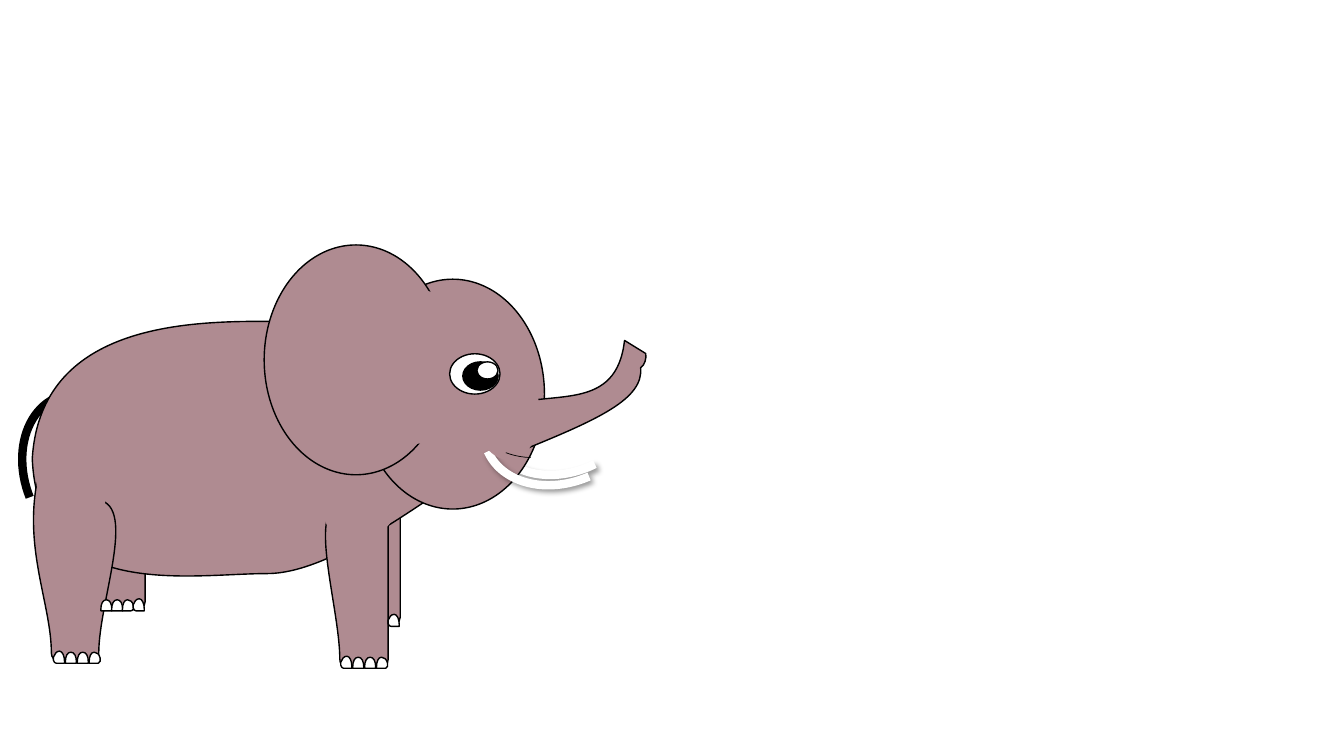
"""Build a slide with a cartoon elephant drawn on a grid of tenth-inch cells."""
from dataclasses import dataclass
from math import cos, radians, sin

from lxml import etree
from pptx import Presentation
from pptx.dml.color import RGBColor
from pptx.enum.shapes import MSO_SHAPE
from pptx.oxml.ns import qn
from pptx.util import Inches, Pt

ARC = MSO_SHAPE.ARC
ELLIPSE = MSO_SHAPE.OVAL
ROUNDED = MSO_SHAPE.ROUNDED_RECTANGLE
CELL = Inches(0.1)
CURVE_STEPS = 16
UPPER_LEFT_QUARTER = (108, 162)


@dataclass(frozen=True)
class Theme:
    """Colours and line weights."""
    skin: str = "AF8B91"
    ink: str = "000000"
    white: str = "FFFFFF"
    hairline: float = 0.5
    outline: float = 1
    thick: float = 6


BODY = [
    (49.3, 45.5), (52.9, 44.6, 36.9, 31.9, 29.3, 31.9),
    (21.6, 31.9, 4.1, 30.8, 3.2, 45.5), (3.8, 59.8, 18.8, 56.9, 26.5, 56.9),
    (34.2, 56.9, 45.7, 46.4, 49.3, 45.5),
]
TRUNK = [
    (50.1, 40.3), (49.7, 40.4, 49.5, 40.9, 49.6, 41.3), (50.6, 44.3),
    (50.7, 44.7, 51.2, 45, 51.6, 44.8), (59.5, 41.6, 63.9, 39.6, 63.6, 36.5),
    (64, 36.3, 64.2, 35.5, 64.1, 35.1), (62, 33.8),
    (61.2, 40.9, 55, 38.7, 50.1, 40.3),
]
FRONT_LEG = [
    (38.5, 50.2), (38.5, 49.8, 38.1, 49.4, 37.7, 49.4), (34.5, 49.4),
    (34, 49.4, 33.7, 49.8, 33.7, 50.2), (30.5, 50.5, 33.7, 60.4, 33.7, 65.4),
    (33.7, 65.9, 34, 66.2, 34.5, 66.2), (37.7, 66.2),
    (38.1, 66.2, 38.5, 65.9, 38.5, 65.4), (38.5, 50.2),
]
HIND_LEG = [
    (9.8, 49.6), (9.8, 49.1, 9.5, 48.8, 9, 48.8), (5.9, 48.8),
    (5.4, 48.8, 4, 45.9, 4, 46.4), (2, 53.9, 5.1, 59.7, 5.1, 64.8),
    (5.1, 65.2, 5.4, 65.6, 5.9, 65.6), (9, 65.6),
    (9.5, 65.6, 9.8, 65.2, 9.8, 64.8), (9.8, 59.7, 13.6, 50.3, 9.8, 49.6),
]
NAILS = {
    "left": [
        (0.6, 0), (0.3, 0, 0.1, 0.3, 0, 0.6), (0, 0.9), (0.1, 1.1),
        (0.1, 1.1, 0.2, 1.2, 0.3, 1.2), (1.1, 1.2), (1.1, 1),
        (1.1, 0.5, 0.9, 0, 0.6, 0),
    ],
    "middle": [
        (0.55, 0.1), (0.2, 0.1, 0, 0.5, 0, 1.1), (0, 1.2), (1.1, 1.2),
        (1.1, 1.1), (1.1, 0.5, 0.9, 0.1, 0.55, 0.1),
    ],
    "right": [
        (0.5, 0.1), (0.2, 0.1, 0, 0.5, 0, 1.1), (0, 1.2), (0.8, 1.2),
        (0.9, 1.2, 1, 1.2, 1, 1.1), (1.1, 1), (1.1, 0.7),
        (1, 0.3, 0.8, 0.1, 0.5, 0.1),
    ],
}
NEAR_FOOT = ("left", "middle", "middle", "right")
FEET = [
    (10, 59.4, 1.07, ("middle", "middle", "right", "left"), 0),
    (33.8, 65.1, 1.18, NEAR_FOOT, 0),
    (5.3, 64.6, 1.18, NEAR_FOOT, 0),
    (38.5, 60.95, 1.18, ("left",), 355.1),
]


def turn(point, pivot, angle):
    """Return the point turned back by an angle about the pivot, in EMU."""
    x, y = point[0] - pivot[0], point[1] - pivot[1]
    across, down = cos(radians(angle)), sin(radians(angle))
    return (round((pivot[0] + x * across + y * down) * CELL),
            round((pivot[1] - x * down + y * across) * CELL))


def curve_points(anchors):
    """Return points along a cubic curve."""
    points = []
    for step in range(1, CURVE_STEPS + 1):
        t = step / CURVE_STEPS
        weights = ((1 - t) ** 3, 3 * t * (1 - t) ** 2, 3 * t * t * (1 - t), t ** 3)
        points.append(tuple(
            sum(weight * anchor[axis] for weight, anchor in zip(weights, anchors))
            for axis in (0, 1)
        ))
    return points


class Drawing:
    """Holds the theme and the group of shapes on the current slide."""

    def __init__(self, slide, theme):
        self.theme = theme
        self.shapes = slide.shapes.add_group_shape().shapes

    def style(self, shape, fill, line, weight):
        """Set fill and line, and remove the shadow."""
        shape.shadow.inherit = False
        for target, color in ((shape.fill, fill), (shape.line.fill, line)):
            if color:
                target.solid()
                target.fore_color.rgb = RGBColor.from_string(color)
            else:
                target.background()
        if line:
            shape.line.width = Pt(weight)

    def preset(self, kind, box, fill=None, line=None, weight=None, rotation=0):
        """Add a preset shape in a box of left, top, width and height."""
        shape = self.shapes.add_shape(kind, *(round(value * CELL) for value in box))
        shape.rotation = rotation
        self.style(shape, fill, line, weight or self.theme.outline)
        return shape

    def arc(self, box, line, weight, rotation, span=UPPER_LEFT_QUARTER):
        """Add an open arc."""
        shape = self.preset(ARC, box, None, line, weight, rotation)
        shape.adjustments[0], shape.adjustments[1] = span
        return shape

    def outline(self, segments, fill, left=0, top=0, rotation=0, pivot=(0, 0)):
        """Add a closed outline of lines and true cubic curves."""
        pieces = [
            [turn((x + left, y + top), pivot, rotation)
             for x, y in zip(segment[::2], segment[1::2])]
            for segment in segments
        ]
        bounds = list(pieces[0])
        for piece in pieces[1:]:
            bounds += piece if len(piece) == 1 else curve_points([bounds[-1], *piece])
        builder = self.shapes.build_freeform(*bounds[0], scale=1.0)
        builder.add_line_segments(bounds[1:], close=True)
        shape = builder.convert_to_shape()
        path = next(shape.element.iter(qn("a:path")))
        for line in path.findall(qn("a:lnTo")):
            path.remove(line)
        close = path.find(qn("a:close"))
        for piece in pieces[1:]:
            tag = "a:lnTo" if len(piece) == 1 else "a:cubicBezTo"
            command = etree.Element(qn(tag))
            close.addprevious(command)
            for x, y in piece:
                etree.SubElement(command, qn("a:pt"),
                                 x=str(x - shape.left), y=str(y - shape.top))
        shape.rotation = rotation
        self.style(shape, fill, self.theme.ink, self.theme.outline)

    def tusk(self, box, rotation):
        """Add a white tusk with a soft shadow."""
        shape = self.arc(box, self.theme.white, self.theme.thick, rotation)
        effects = shape.element.spPr.find(qn("a:effectLst"))
        shadow = etree.SubElement(
            effects, qn("a:outerShdw"), blurRad=str(Pt(4)), dist=str(Pt(3)),
            dir=str(45 * 60000), algn="tl", rotWithShape="0")
        color = etree.SubElement(shadow, qn("a:srgbClr"), val=self.theme.ink)
        etree.SubElement(color, qn("a:alpha"), val="40000")

    def foot(self, left, top, step, kinds, rotation):
        """Add a row of toenails."""
        for index, kind in enumerate(kinds):
            start = left + index * step
            self.outline(NAILS[kind], self.theme.white, start, top,
                         rotation, (start + 0.55, top + 0.6))


def draw_elephant(drawing):
    """Draw the elephant from back to front."""
    theme = drawing.theme
    skin, ink, white = theme.skin, theme.ink, theme.white
    drawing.arc((2.5, 38.8, 12.6, 16.4), ink, theme.thick, 338.2)
    for left, top in ((9.6, 43.7), (34.9, 45.2)):
        drawing.preset(ROUNDED, (left, top, 4.8, 16.8), skin, ink)
    drawing.tusk((49.9, 32.2, 12.6, 16.4), 243.6)
    drawing.outline(BODY, skin)
    drawing.preset(ELLIPSE, (35.8, 27.7, 18.2, 22.8), skin, ink)
    drawing.outline(TRUNK, skin, rotation=252.1, pivot=(57.15, 39.15))
    for leg in (FRONT_LEG, HIND_LEG):
        drawing.outline(leg, skin)
    drawing.preset(ELLIPSE, (26.2, 24.3, 18.2, 22.8), skin, ink)
    drawing.tusk((49.6, 33.3, 12.6, 16.4), 246.4)
    for box in ((31.3, 28.8, 18.2, 15.3), (46.5, 34.1, 6.9, 11.6),
                (32.2, 48.7, 6.9, 4.7), (3.6, 42.2, 6.9, 10.9)):
        drawing.preset(ELLIPSE, box, skin, rotation=351.3)
    for foot in FEET:
        drawing.foot(*foot)
    for box, color in (((44.6, 35.1, 5, 4), white), ((45.9, 35.9, 3.5, 2.8), ink),
                       ((47.3, 35.9, 2.1, 1.7), white)):
        drawing.preset(ELLIPSE, box, color, ink)
    drawing.arc((45.2, 30.1, 15.3, 15.3), ink, theme.hairline, 99.4, (211.39, 6.69))


def main():
    """Build and save the presentation."""
    presentation = Presentation()
    presentation.slide_width = Inches(13.33)
    presentation.slide_height = Inches(7.5)
    slide = presentation.slides.add_slide(presentation.slide_layouts[6])
    draw_elephant(Drawing(slide, Theme()))
    presentation.save("out.pptx")


if __name__ == "__main__":
    main()
